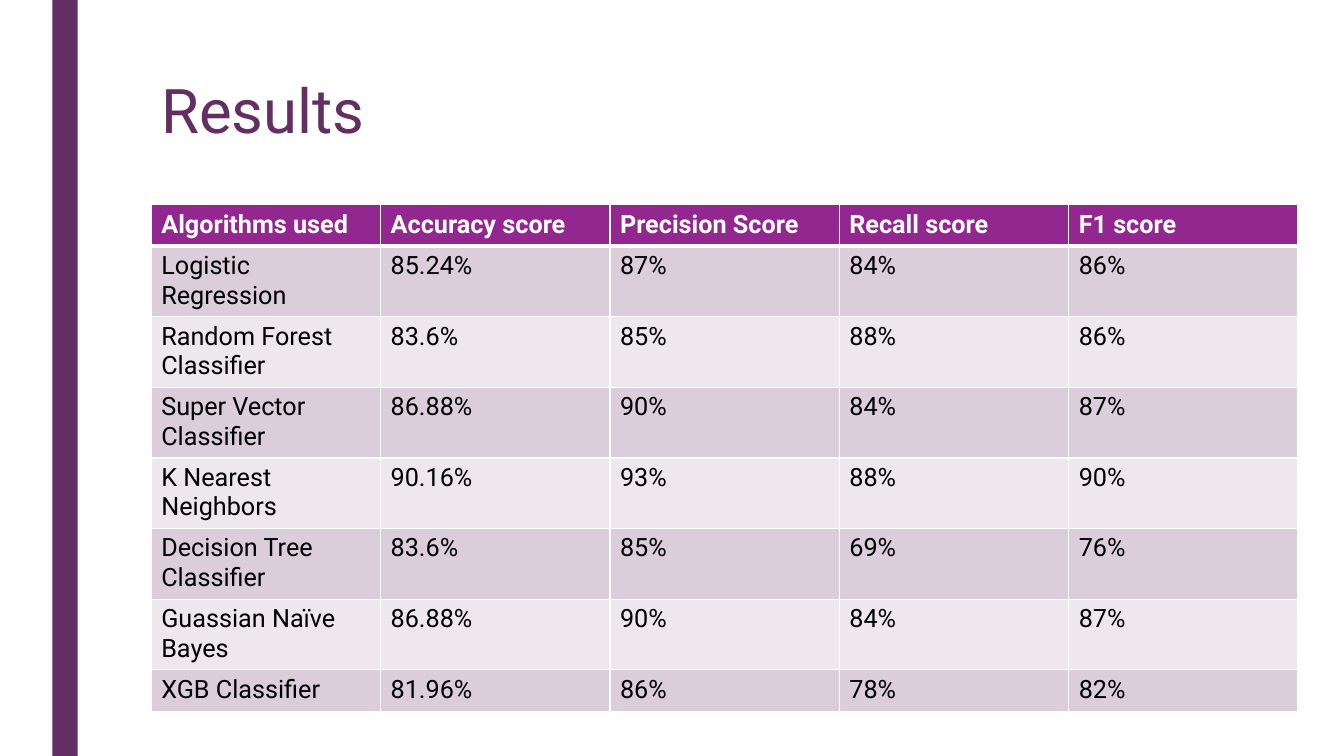
from lxml.etree import SubElement
from pptx import Presentation
from pptx.dml.color import RGBColor
from pptx.enum.shapes import MSO_SHAPE
from pptx.enum.text import MSO_ANCHOR
from pptx.oxml.ns import qn
from pptx.util import Inches, Pt

PLUM = RGBColor(0x63, 0x2E, 0x62)
PURPLE = RGBColor(0x92, 0x27, 0x8F)
MAUVE = RGBColor(0xDC, 0xCD, 0xDB)
PALE = RGBColor(0xEE, 0xE8, 0xEE)
WHITE = RGBColor(0xFF, 0xFF, 0xFF)
BLACK = RGBColor(0, 0, 0)

RESULTS = [
    ("Algorithms used", "Accuracy score", "Precision Score", "Recall score", "F1 score"),
    ("Logistic Regression", "85.24%", "87%", "84%", "86%"),
    ("Random Forest Classifier", "83.6%", "85%", "88%", "86%"),
    ("Super Vector Classifier", "86.88%", "90%", "84%", "87%"),
    ("K Nearest Neighbors", "90.16%", "93%", "88%", "90%"),
    ("Decision Tree Classifier", "83.6%", "85%", "69%", "76%"),
    ("Guassian Naïve Bayes", "86.88%", "90%", "84%", "87%"),
    ("XGB Classifier", "81.96%", "86%", "78%", "82%"),
]


class Deck:
    """Draws styled elements on the current slide, on a quarter-inch grid."""

    font = "Roboto"
    unit = 0.25

    def __init__(self, prs):
        self.s = prs.slides.add_slide(prs.slide_layouts[6])

    def grid(self, *cells):
        return [Inches(n * self.unit) for n in cells]

    def text(self, tf, words, color, **fmt):
        p = tf.paragraphs[0]
        r = p.add_run()
        r.text = words
        r.font.color.rgb = color
        for name, value in {"name": self.font, **fmt}.items():
            setattr(r.font, name, value)
        return p

    def bar(self, box, color):
        sp = self.s.shapes.add_shape(MSO_SHAPE.RECTANGLE, *self.grid(*box))
        sp.shadow.inherit = False
        sp.fill.solid()
        sp.fill.fore_color.rgb = color
        sp.line.fill.background()

    def title(self, box, words, color):
        tf = self.s.shapes.add_textbox(*self.grid(*box)).text_frame
        for name, value in {"word_wrap": True, "vertical_anchor": MSO_ANCHOR.TOP}.items():
            setattr(tf, name, value)
        self.text(tf, words, color, size=Pt(44)).line_spacing = 0.89

    def border(self, cell, widths, color):
        tc_pr = cell._tc.get_or_add_tcPr()
        for side, width in widths.items():
            ln = SubElement(tc_pr, qn(f"a:ln{side}"), w=str(Pt(width)))
            fill = SubElement(ln, qn("a:solidFill"))
            SubElement(fill, qn("a:srgbClr"), val=str(color))

    def table(self, box, rows, head, bands):
        frame = self.s.shapes.add_table(len(rows), len(rows[0]), *self.grid(*box))
        for row in frame.table.rows:
            row.height = Inches(0.41)
        for i, row in enumerate(rows):
            fill = bands[(i - 1) % len(bands)] if i else head
            color = BLACK if i else WHITE
            widths = {"L": 1, "R": 1, "T": 3 if i == 1 else 1, "B": 1 if i else 3}
            for j, words in enumerate(row):
                cell = frame.table.cell(i, j)
                self.border(cell, widths, WHITE)
                cell.fill.solid()
                cell.fill.fore_color.rgb = fill
                self.text(cell.text_frame, words, color, size=Pt(18), bold=not i)


prs = Presentation()
prs.slide_width, prs.slide_height = Inches(13.33), Inches(7.5)
deck = Deck(prs)
deck.bar((2.08, 0, 1, 30), PLUM)
deck.title((6, 3, 42, 6.5), "Results", PLUM)
deck.table((6, 8.13, 45.5, 18.9), RESULTS, PURPLE, (MAUVE, PALE))
prs.save("out.pptx")
